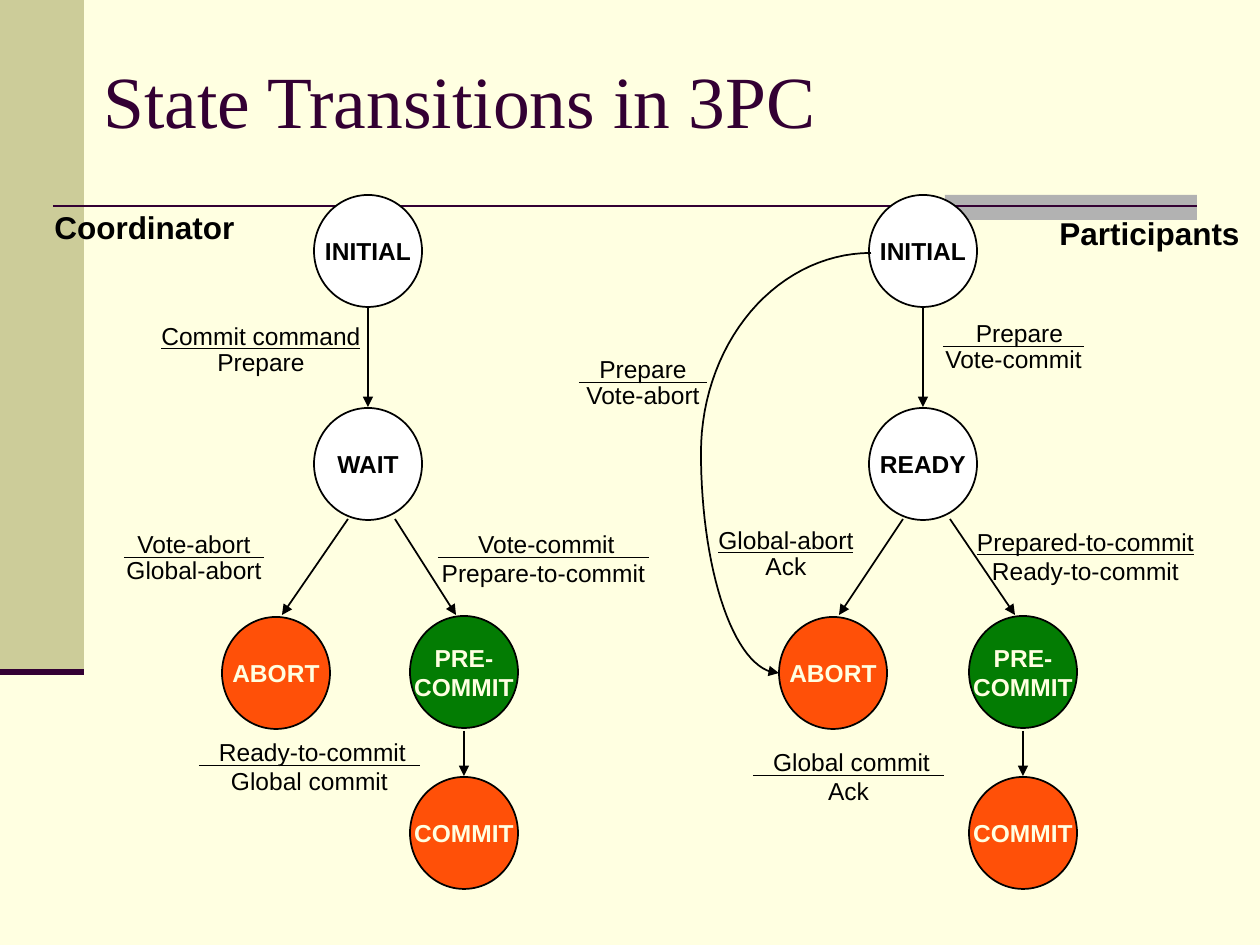
from dataclasses import dataclass
from math import cos, radians, sin

from lxml.etree import SubElement
from pptx import Presentation
from pptx.dml.color import RGBColor
from pptx.enum.shapes import MSO_CONNECTOR, MSO_SHAPE
from pptx.enum.text import MSO_ANCHOR, PP_ALIGN
from pptx.oxml.ns import qn
from pptx.util import Emu, Pt

EMU_PER_PX = 914400 / 126
LABEL_PAD = 20


@dataclass(frozen=True)
class Theme:
    """Colours, fonts and type sizes of the slide."""
    background: str = "FFFFE1"
    sidebar: str = "CCCC99"
    tab: str = "B2B2B2"
    accent: str = "330033"
    ink: str = "000000"
    neutral: str = "FFFFFF"
    final: str = "FF5008"
    prepared: str = "037C03"
    title_font: str = "Times New Roman"
    body_font: str = "Arial"
    title_size: int = 42
    heading_size: int = 18
    label_size: int = 14


THEME = Theme()


def px(length):
    """Turn a length in px into EMU."""
    return Emu(round(length * EMU_PER_PX))


def rgb(code):
    """Turn a hex code into a colour."""
    return RGBColor.from_string(code)


def write(frame, text, size, color=THEME.ink, font=THEME.body_font,
          bold=False, underline=None, align=PP_ALIGN.LEFT):
    """Fill a text frame with evenly styled paragraphs."""
    frame.text = text
    for paragraph in frame.paragraphs:
        paragraph.alignment = align
        paragraph.font.name = font
        paragraph.font.size = Pt(size)
        paragraph.font.bold = bold
        paragraph.font.underline = underline
        paragraph.font.color.rgb = rgb(color)


def add_label(slide, box, text, size, wrap=False, anchor=MSO_ANCHOR.TOP, **style):
    """Add a text box in the given box."""
    frame = slide.shapes.add_textbox(*map(px, box)).text_frame
    frame.word_wrap = wrap
    frame.vertical_anchor = anchor
    write(frame, text, size, **style)


def add_block(slide, kind, box, fill):
    """Add a filled preset shape without a line."""
    block = slide.shapes.add_shape(kind, *map(px, box))
    block.shadow.inherit = False
    block.fill.solid()
    block.fill.fore_color.rgb = rgb(fill)
    block.line.fill.background()
    return block


def add_arrowhead(shape):
    """Put a triangle at the end of an outline."""
    SubElement(shape.element.spPr.find(qn("a:ln")), qn("a:tailEnd"), type="triangle")


def add_line(slide, start, end, color=THEME.ink, width=1, arrow=False):
    """Add a straight line, with an arrowhead if asked."""
    line = slide.shapes.add_connector(
        MSO_CONNECTOR.STRAIGHT, *map(px, (*start, *end)))
    line.line.color.rgb = rgb(color)
    line.line.width = Pt(width)
    if arrow:
        add_arrowhead(line)
    SubElement(line.element.spPr, qn("a:effectLst"))


def add_quarter_arc(slide, center, radii, first_angle, arrow=False, steps=30):
    """Sweep a quarter ellipse anticlockwise from the first angle."""
    angles = [radians(first_angle - 90 * step / steps) for step in range(steps + 1)]
    points = [(px(center[0] + radii[0] * cos(angle)),
               px(center[1] + radii[1] * sin(angle))) for angle in angles]
    builder = slide.shapes.build_freeform(*points[0])
    builder.add_line_segments(points[1:], close=False)
    arc = builder.convert_to_shape()
    arc.shadow.inherit = False
    arc.fill.background()
    arc.line.color.rgb = rgb(THEME.ink)
    arc.line.width = Pt(1)
    if arrow:
        add_arrowhead(arc)


def add_state(slide, left, top, name, fill):
    """Add one state circle with its name."""
    state = add_block(slide, MSO_SHAPE.OVAL, (left, top, 108, 112), fill)
    state.line.color.rgb = rgb(THEME.ink)
    state.line.width = Pt(1)
    frame = state.text_frame
    frame.margin_left = frame.margin_right = 0
    frame.word_wrap = False
    frame.vertical_anchor = MSO_ANCHOR.MIDDLE
    color = THEME.ink if fill == THEME.neutral else THEME.background
    write(frame, name, THEME.label_size, color, bold=True, align=PP_ALIGN.CENTER)


def add_transition(slide, box, trigger, response, gap=26, shift=0, ruled=True):
    """Add a trigger over its response, parted by a rule or an underline."""
    left, top, width = box
    label_left, label_width = left - LABEL_PAD, width + 2 * LABEL_PAD
    style = dict(size=THEME.label_size, align=PP_ALIGN.CENTER)
    add_label(slide, (label_left + shift, top, label_width, 42), trigger,
              underline=None if ruled else True, **style)
    add_label(slide, (label_left, top + gap, label_width, 42), response, **style)
    if ruled:
        add_line(slide, (left, top + 34), (left + width, top + 34), width=0.5)


def add_frame(slide):
    """Add the background, sidebar, header rule and title."""
    slide.background.fill.solid()
    slide.background.fill.fore_color.rgb = rgb(THEME.background)
    add_block(slide, MSO_SHAPE.RECTANGLE, (0, 0, 84, 672), THEME.sidebar)
    add_block(slide, MSO_SHAPE.RECTANGLE, (945, 195, 252, 25), THEME.tab)
    add_line(slide, (53, 206), (1197, 206), THEME.accent, 1.5)
    add_line(slide, (0, 672), (84, 672), THEME.accent, 3.5)
    add_label(slide, (91, 50, 963, 98), "State Transitions in 3PC", THEME.title_size,
              wrap=True, anchor=MSO_ANCHOR.MIDDLE,
              color=THEME.accent, font=THEME.title_font)


def add_machine(slide, left, top, waiting, abort_dx, commit_dx):
    """Add the five states of one role and the arrows between them."""
    arrows = [((54, 112), (54, 212)),
              ((34, 324), (abort_dx + 60, 420)),
              ((81, 324), (commit_dx + 46, 420)),
              ((commit_dx + 54, 536), (commit_dx + 54, 581))]
    for (x1, y1), (x2, y2) in arrows:
        add_line(slide, (left + x1, top + y1), (left + x2, top + y2), arrow=True)
    states = [(0, 0, "INITIAL", THEME.neutral),
              (0, 213, waiting, THEME.neutral),
              (abort_dx, 422, "ABORT", THEME.final),
              (commit_dx, 421, "PRE-\nCOMMIT", THEME.prepared),
              (commit_dx, 582, "COMMIT", THEME.final)]
    for dx, dy, name, fill in states:
        add_state(slide, left + dx, top + dy, name, fill)


def add_coordinator(slide, left, top):
    """Add the coordinator's heading, states and transitions."""
    add_machine(slide, left, top, "WAIT", -92, 96)
    add_label(slide, (left - 272, top + 7, 212, 50), "Coordinator",
              THEME.heading_size, bold=True)
    add_transition(slide, (left - 152, top + 120, 198),
                   "Commit command", "Prepare", ruled=False)
    add_transition(slide, (left - 190, top + 328, 140), "Vote-abort", "Global-abort")
    add_transition(slide, (left + 124, top + 328, 211),
                   "Vote-commit", "Prepare-to-commit", gap=29, shift=3)
    add_transition(slide, (left - 115, top + 536, 221),
                   "Ready-to-commit", "Global commit", gap=29, shift=3)


def add_participants(slide, left, top):
    """Add the participants' heading, states, transitions and abort curve."""
    add_machine(slide, left, top, "READY", -90, 100)
    add_quarter_arc(slide, (left + 2, top + 258), (170, 200), 270)
    add_quarter_arc(slide, (left - 90, top + 256), (78, 222), 180, arrow=True)
    add_label(slide, (left + 178, top + 13, 212, 50), "Participants",
              THEME.heading_size, bold=True)
    add_transition(slide, (left + 74, top + 117, 141), "Prepare", "Vote-commit", shift=6)
    add_transition(slide, (left - 290, top + 153, 128), "Prepare", "Vote-abort")
    add_transition(slide, (left - 151, top + 324, 136),
                   "Global-abort", "Ack", ruled=False)
    add_transition(slide, (left + 108, top + 326, 217),
                   "Prepared-to-commit", "Ready-to-commit", gap=29, ruled=False)
    add_transition(slide, (left - 116, top + 546, 191),
                   "Global commit", "Ack", gap=29, shift=3)


def main():
    """Build the slide and save it."""
    deck = Presentation()
    deck.slide_width, deck.slide_height = px(1260), px(945)
    slide = deck.slides.add_slide(deck.slide_layouts[6])
    add_frame(slide)
    add_coordinator(slide, 314, 195)
    add_participants(slide, 869, 195)
    deck.save("out.pptx")


if __name__ == "__main__":
    main()
